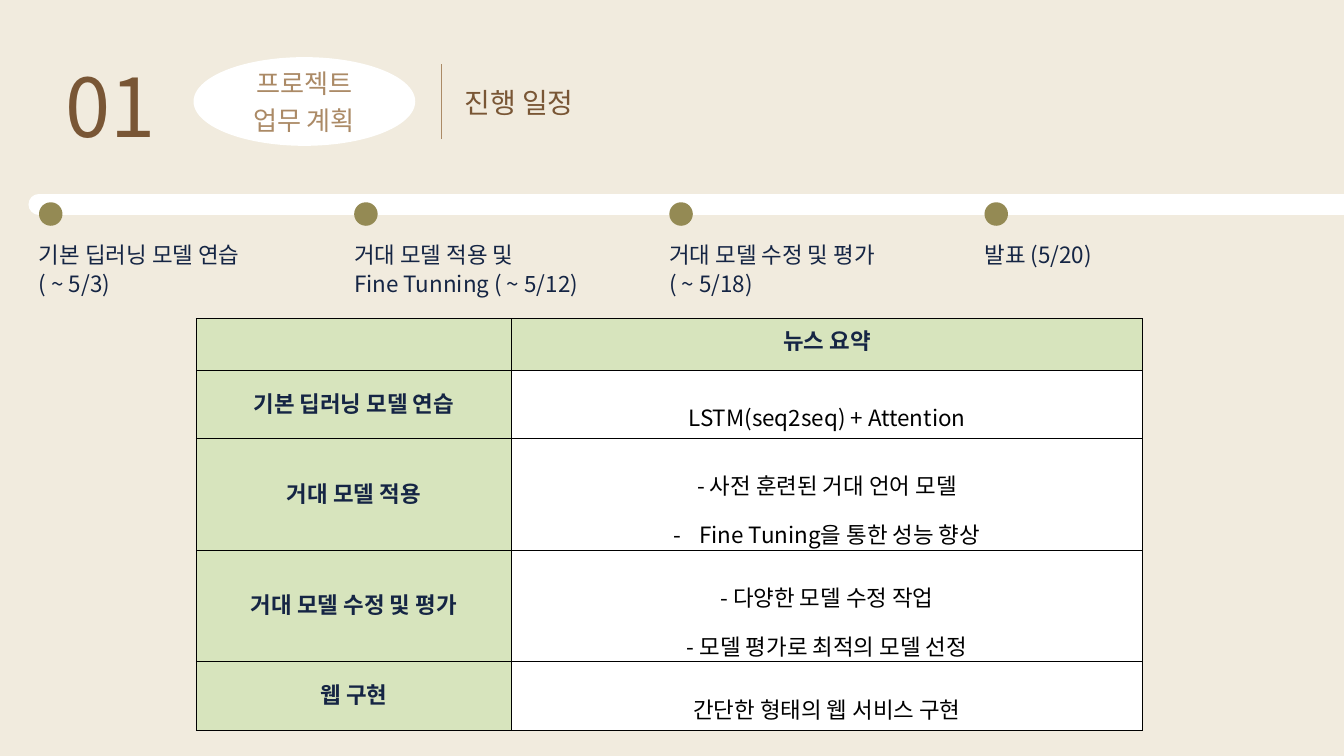
from lxml.etree import SubElement
from pptx import Presentation
from pptx.dml.color import RGBColor
from pptx.enum.shapes import MSO_CONNECTOR as Connector, MSO_SHAPE as Shape
from pptx.enum.text import MSO_ANCHOR as Anchor, MSO_AUTO_SIZE as AutoSize, PP_ALIGN as Align
from pptx.oxml.ns import qn
from pptx.util import Inches, Pt

FONT = "Noto Sans CJK KR"
CREAM = RGBColor(0xF1, 0xEB, 0xDE)
BROWN = RGBColor(0x79, 0x56, 0x35)
TAN = RGBColor(0xAB, 0x8A, 0x66)
NAVY = RGBColor(0x15, 0x25, 0x44)
OLIVE = RGBColor(0x94, 0x8A, 0x54)
GREEN = RGBColor(0xD7, 0xE4, 0xBD)
WHITE = RGBColor(0xFF, 0xFF, 0xFF)
BLACK = RGBColor(0x00, 0x00, 0x00)

# Content
NUMBER = "01"
SECTION = ["프로젝트", "업무 계획"]
TITLE = "진행 일정"
MILESTONES = [
    ["기본 딥러닝 모델 연습", "( ~ 5/3)"],
    ["거대 모델 적용 및", "Fine Tunning ( ~ 5/12)"],
    ["거대 모델 수정 및 평가", "( ~ 5/18)"],
    ["발표 (5/20)"],
]
BULLET = "• "  # marks a line that gets a real dash bullet
TABLE_HEAD = "뉴스 요약"
TABLE_ROWS = [
    ("기본 딥러닝 모델 연습", ["LSTM(seq2seq) + Attention"]),
    ("거대 모델 적용", ["- 사전 훈련된 거대 언어 모델", BULLET + "Fine Tuning을 통한 성능 향상"]),
    ("거대 모델 수정 및 평가", ["- 다양한 모델 수정 작업", "- 모델 평가로 최적의 모델 선정"]),
    ("웹 구현", ["간단한 형태의 웹 서비스 구현"]),
]
COLUMN_WIDTHS = [4.69, 9.39]
ROW_HEIGHTS = [0.77, 1.01, 1.62, 1.62, 1.01]
CELL_MARGIN = 0.21
DETAIL_BOTTOM = {1: 0.08, 2: 0}  # bottom margin by number of lines, keeps rows compact
MILESTONE_LEFT, MILESTONE_STEP = 0.58, 4.69


def write(frame, lines, size, color, spacing, align=Align.LEFT, bold=False):
    for index, line in enumerate(lines):
        para = frame.paragraphs[0] if index == 0 else frame.add_paragraph()
        para.alignment = align
        para.line_spacing = spacing
        if line.startswith(BULLET):
            line = line.removeprefix(BULLET)
            props = para._p.get_or_add_pPr()
            props.set("marL", str(Inches(0.38)))
            props.set("indent", str(-Inches(0.38)))
            SubElement(props, qn("a:buFont"), typeface=FONT)
            SubElement(props, qn("a:buChar"), char="-")
        span = para.add_run()
        span.text = line
        span.font.size = Pt(size)
        span.font.bold = bold
        span.font.color.rgb = color
        span.font.name = FONT
        SubElement(span.font._element, qn("a:ea"), typeface=FONT)


def fit_frame(frame):
    frame.margin_left = frame.margin_right = frame.margin_top = frame.margin_bottom = 0
    frame.word_wrap = True
    frame.auto_size = AutoSize.NONE
    frame.vertical_anchor = Anchor.TOP


def add_text(slide, place, *args, **kwargs):
    box = slide.shapes.add_textbox(*map(Inches, place))
    fit_frame(box.text_frame)
    write(box.text_frame, *args, **kwargs)


def add_ellipse(slide, place, color):
    ellipse = slide.shapes.add_shape(Shape.OVAL, *map(Inches, place))
    ellipse.shadow.inherit = False
    ellipse.fill.solid()
    ellipse.fill.fore_color.rgb = color
    ellipse.line.fill.background()


def add_line(slide, ends, color, width):
    line = slide.shapes.add_connector(Connector.STRAIGHT, *map(Inches, ends))
    line.line.color.rgb = color
    line.line.width = Pt(width)
    SubElement(line._element.spPr, qn("a:effectLst"))
    return line


def style_cell(cell, color, bottom=CELL_MARGIN):
    props = cell._tc.get_or_add_tcPr()
    for side in ("a:lnL", "a:lnR", "a:lnT", "a:lnB"):
        border = SubElement(props, qn(side), w=str(Pt(1)))
        SubElement(SubElement(border, qn("a:solidFill")), qn("a:srgbClr"), val=str(BLACK))
    cell.fill.solid()
    cell.fill.fore_color.rgb = color
    cell.vertical_anchor = Anchor.MIDDLE
    cell.margin_left = cell.margin_right = cell.margin_top = Inches(CELL_MARGIN)
    cell.margin_bottom = Inches(bottom)


def add_header(slide):
    add_ellipse(slide, (2.88, 0.85, 3.3, 1.32), WHITE)
    add_line(slide, (6.57, 2.07, 6.57, 0.95), TAN, 1.5)
    add_text(slide, (0.98, 0.59, 1.51, 1.58), [NUMBER], 87, BROWN, Pt(121.9))
    add_text(slide, (3.61, 0.93, 1.83, 1.09), SECTION, 28, TAN, Pt(39.3), Align.CENTER)
    title = slide.shapes.title
    title.left, title.top, title.width, title.height = map(Inches, (6.91, 1.19, 5.93, 0.53))
    fit_frame(title.text_frame)
    write(title.text_frame, [TITLE], 30, BROWN, Pt(41.5))


def add_timeline(slide):
    bar = add_line(slide, (0.58, 3.04, 20, 3.04), WHITE, 22.5)
    bar.line._get_or_add_ln().set("cap", "rnd")
    for index, lines in enumerate(MILESTONES):
        left = MILESTONE_LEFT + index * MILESTONE_STEP
        add_ellipse(slide, (left, 3.01, 0.35, 0.35), OLIVE)
        add_text(slide, (left, 3.55, 3.87, 0.43 * len(lines)), lines, 24, NAVY, Pt(31.2))


def add_schedule(slide):
    place = (2.92, 4.74, sum(COLUMN_WIDTHS), sum(ROW_HEIGHTS))
    table = slide.shapes.add_table(len(ROW_HEIGHTS), len(COLUMN_WIDTHS), *map(Inches, place)).table
    for column, width in zip(table.columns, COLUMN_WIDTHS):
        column.width = Inches(width)
    for row, height in zip(table.rows, ROW_HEIGHTS):
        row.height = Inches(height)

    head = table.cell(0, 1)
    style_cell(table.cell(0, 0), GREEN)
    style_cell(head, GREEN)
    write(head.text_frame, [TABLE_HEAD], 24, NAVY, Pt(25.2), Align.CENTER, bold=True)
    for index, (stage, tasks) in enumerate(TABLE_ROWS, start=1):
        label, detail = table.cell(index, 0), table.cell(index, 1)
        style_cell(label, GREEN)
        style_cell(detail, WHITE, DETAIL_BOTTOM[len(tasks)])
        write(label.text_frame, [stage], 24, NAVY, Pt(31.2), Align.CENTER, bold=True)
        write(detail.text_frame, tasks, 24, BLACK, 1.5, Align.CENTER)


def main():
    deck = Presentation()
    deck.slide_width, deck.slide_height = Inches(20), Inches(11.25)
    slide = deck.slides.add_slide(deck.slide_layouts[5])
    slide.background.fill.solid()
    slide.background.fill.fore_color.rgb = CREAM
    add_header(slide)
    add_timeline(slide)
    add_schedule(slide)
    deck.save("out.pptx")


if __name__ == "__main__":
    main()
